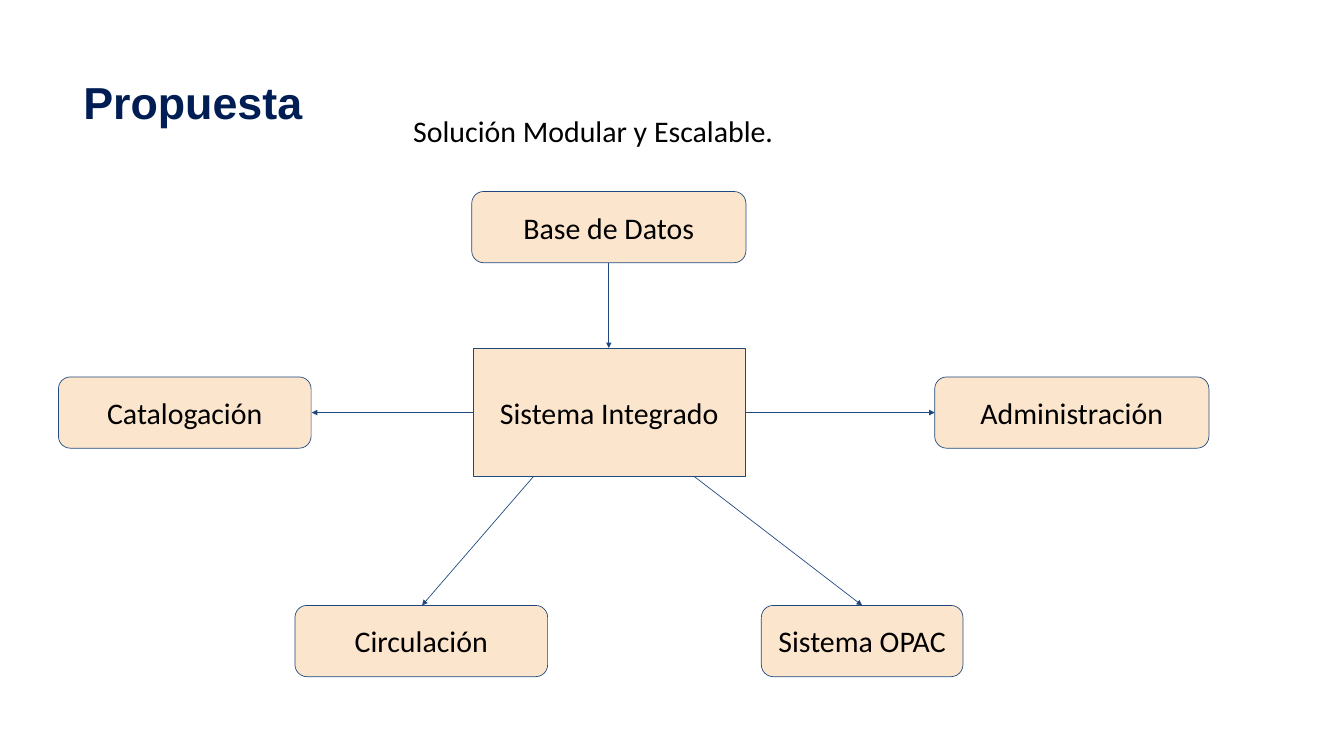
from lxml import etree
from pptx import Presentation
from pptx.dml.color import RGBColor
from pptx.enum.shapes import MSO_CONNECTOR, MSO_SHAPE
from pptx.enum.text import MSO_ANCHOR, MSO_AUTO_SIZE, PP_ALIGN
from pptx.oxml.ns import qn
from pptx.util import Inches, Pt

NAVY = RGBColor(0x00, 0x1D, 0x54)
BLUE = RGBColor(0x1F, 0x49, 0x7D)
PEACH = RGBColor(0xFC, 0xE5, 0xCD)
BLACK = RGBColor(0x00, 0x00, 0x00)
RECTANGLE = MSO_SHAPE.RECTANGLE
ROUNDED = MSO_SHAPE.ROUNDED_RECTANGLE
STRAIGHT = MSO_CONNECTOR.STRAIGHT
TOP, MIDDLE = MSO_ANCHOR.TOP, MSO_ANCHOR.MIDDLE
LEFT, CENTER = PP_ALIGN.LEFT, PP_ALIGN.CENTER
GROW = MSO_AUTO_SIZE.SHAPE_TO_FIT_TEXT
TITLE_ONLY = 5


class Diagram:
    """Draws the modules of the proposal and their links on one slide."""

    def __init__(self, slide):
        self.slide = slide
        self.line_width = Pt(0.75)

    def label(self, shape, text, align, anchor, margin=0.1, font="Calibri",
              size=32, color=BLACK, bold=False):
        frame = shape.text_frame
        frame.text = text
        frame.word_wrap = True
        frame.vertical_anchor = anchor
        frame.margin_left = frame.margin_right = Inches(margin)
        frame.margin_top = frame.margin_bottom = Inches(margin)
        paragraph = frame.paragraphs[0]
        paragraph.alignment = align
        paragraph.font.name = font
        paragraph.font.size = Pt(size)
        paragraph.font.bold = bold
        paragraph.font.color.rgb = color
        return frame

    def title(self, text, left, top, width, height):
        heading = self.slide.shapes.title
        heading.left, heading.top = Inches(left), Inches(top)
        heading.width, heading.height = Inches(width), Inches(height)
        frame = self.label(heading, text, LEFT, TOP, 0, "Arial", 48, NAVY, True)
        frame.auto_size = GROW
        frame.paragraphs[0].line_spacing = 1.75

    def subtitle(self, text, left, top, width, height):
        box = self.slide.shapes.add_textbox(
            Inches(left), Inches(top), Inches(width), Inches(height))
        self.label(box, text, LEFT, TOP)

    def module(self, text, left, top, width, height=1.06, kind=ROUNDED):
        box = self.slide.shapes.add_shape(
            kind, Inches(left), Inches(top), Inches(width), Inches(height))
        box.shadow.inherit = False
        box.fill.solid()
        box.fill.fore_color.rgb = PEACH
        box.line.color.rgb = BLUE
        box.line.width = self.line_width
        self.label(box, text, CENTER, MIDDLE)

    def arrow(self, start, end):
        x1, y1, x2, y2 = map(Inches, (*start, *end))
        link = self.slide.shapes.add_connector(STRAIGHT, x1, y1, x2, y2)
        link.line.color.rgb = BLUE
        link.line.width = self.line_width
        properties = link._element.spPr
        etree.SubElement(properties.find(qn("a:ln")), qn("a:tailEnd"), type="triangle")
        etree.SubElement(properties, qn("a:effectLst"))


def main():
    deck = Presentation()
    deck.slide_width, deck.slide_height = Inches(20), Inches(11.25)
    diagram = Diagram(deck.slides.add_slide(deck.slide_layouts[TITLE_ONLY]))

    diagram.title("Propuesta", 1.24, 0.51, 12.18, 1.06)
    diagram.subtitle("Solución Modular y Escalable.", 6.05, 1.57, 5.62, 0.72)

    side_top, bottom_top = 5.61, 9.01
    diagram.module("Sistema Integrado", 7.04, 5.18, 4.05, 1.91, RECTANGLE)
    for name, left, top, width in (
        ("Base de Datos", 7.02, 2.85, 4.08),
        ("Catalogación", 0.87, side_top, 3.76),
        ("Administración", 13.91, side_top, 4.08),
        ("Circulación", 4.39, bottom_top, 3.76),
        ("Sistema OPAC", 11.33, bottom_top, 3),
    ):
        diagram.module(name, left, top, width)

    for start, end in (
        ((9.06, 3.91), (9.06, 5.18)),
        ((7.04, 6.14), (4.64, 6.14)),
        ((11.09, 6.14), (13.91, 6.14)),
        ((7.94, 7.09), (6.28, bottom_top)),
        ((10.33, 7.09), (12.83, bottom_top)),
    ):
        diagram.arrow(start, end)

    deck.save("out.pptx")


if __name__ == "__main__":
    main()
